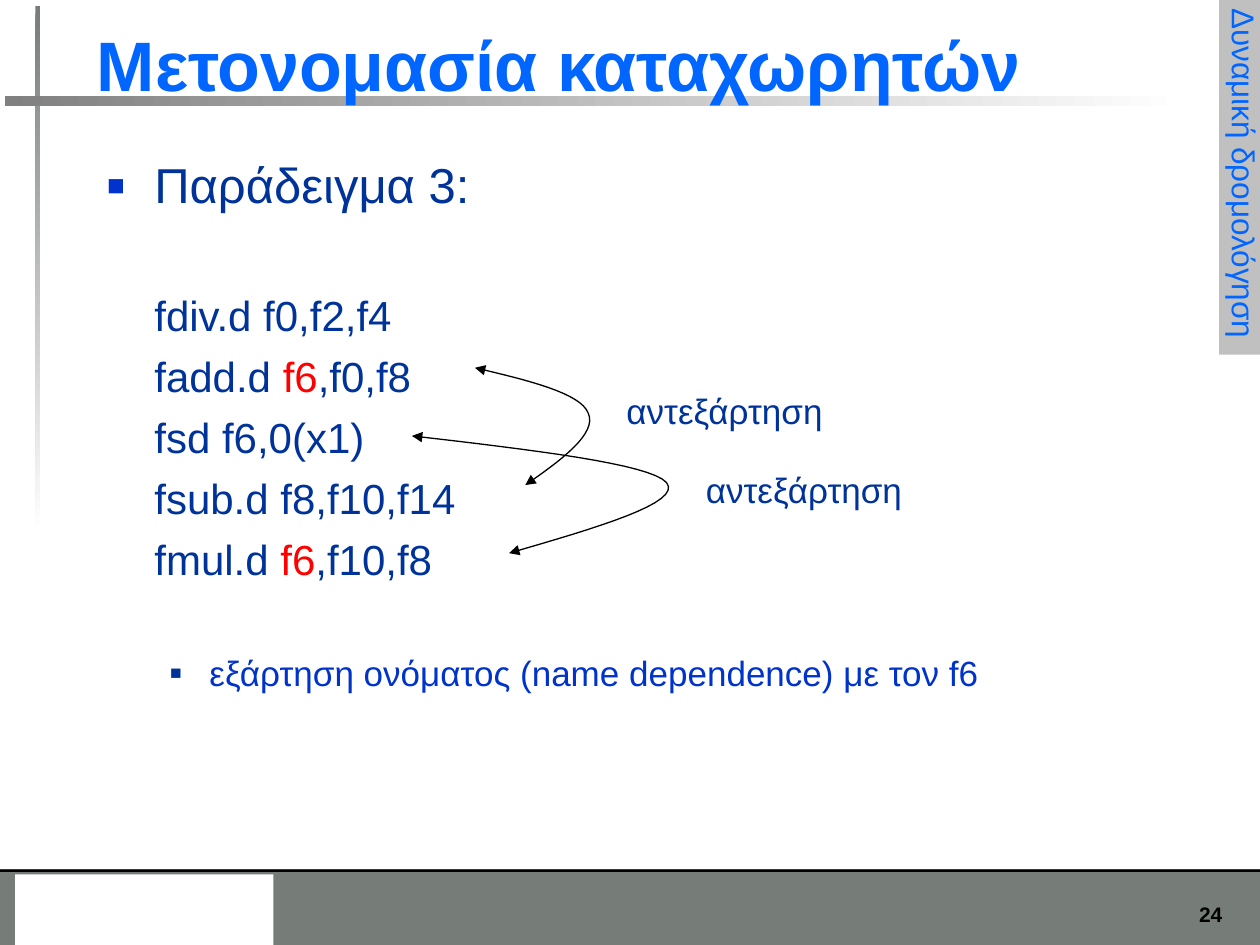
"""Builds the slide on register renaming and its name dependences."""
import pptx
import pptx.dml.color
import pptx.enum.shapes
import pptx.enum.text
import pptx.oxml
import pptx.oxml.ns
import pptx.util

Pt = pptx.util.Pt
ALIGN = pptx.enum.text.PP_ALIGN
ANCHOR = pptx.enum.text.MSO_ANCHOR
FIT = pptx.enum.text.MSO_AUTO_SIZE
RECT = pptx.enum.shapes.MSO_SHAPE.RECTANGLE
NAVY, BLUE, SKY, RED, BLACK = "003399", "0033CC", "0066FF", "FF0000", "000000"


def style(thing, form):
    """Set each format value on a thing; a hex colour goes to its colour part."""
    for name, value in form.items():
        if name == "hex":
            color = thing.color if hasattr(thing, "color") else thing.fore_color
            color.rgb = pptx.dml.color.RGBColor.from_string(value)
        else:
            setattr(thing, name, value)


def write(para, text, size, code, bold=False):
    """Add a run of Arial text to a paragraph."""
    run = para.add_run()
    run.text = text
    style(run.font, {"name": "Arial", "size": Pt(size), "bold": bold, "hex": code})


deck = pptx.Presentation()
style(deck, {"slide_width": Pt(720), "slide_height": Pt(540)})
slide = deck.slides.add_slide(deck.slide_layouts[1])
shapes = slide.shapes
title, body = slide.placeholders

bars = [
    ((0, 496.8, 720, 43.2), "767D79", None),
    ((0, 496.8, 720, 1.5), BLACK, None),
    ((20.2, 3.6, 2.9, 300), "767D79", 270),
    ((2.9, 54.7, 674.6, 5.8), "808080", 0),
    ((8.6, 499.7, 147.6, 40.3), "FFFFFF", None),
    ((608.4, 85.7, 205.2, 28.8), "C0C0C0", None),
]
for place, code, angle in bars:
    bar = shapes.add_shape(RECT, *map(Pt, place))
    bar.shadow.inherit = False
    bar.line.fill.background()
    if angle is None:
        bar.fill.solid()
        style(bar.fill, {"hex": code})
    else:
        bar.fill.gradient()
        bar.fill.gradient_angle = angle
        for stop, shade in zip(bar.fill.gradient_stops, (code, "FFFFFF")):
            style(stop, {"hex": shade})
    title._element.addprevious(bar._element)

bar.rotation = 90
style(bar.text_frame, {"word_wrap": False, "vertical_anchor": ANCHOR.TOP})
para = bar.text_frame.paragraphs[0]
para.alignment = ALIGN.LEFT
write(para, "Δυναμική δρομολόγηση", 18, SKY)

style(title, {"left": Pt(48.2), "top": Pt(8.6), "width": Pt(652.3), "height": Pt(55.4)})
style(title.text_frame, {"vertical_anchor": ANCHOR.BOTTOM, "auto_size": FIT.NONE})
para = title.text_frame.paragraphs[0]
para.alignment = ALIGN.LEFT
write(para, "Μετονομασία καταχωρητών", 40, SKY, True)

style(body, {"left": Pt(54), "top": Pt(88.6), "width": Pt(651.6), "height": Pt(402.5)})
body.text_frame.auto_size = FIT.NONE
lines = [
    ([("Παράδειγμα 3:", NAVY)], 28, 6, (27, -27, BLUE, 60)),
    ([("fdiv.d f0,f2,f4", NAVY)], 24, 43, None),
    ([("fadd.d ", NAVY), ("f6", RED), (",f0,f8", NAVY)], 24, 6, None),
    ([("fsd f6,0(x1)", NAVY)], 24, 6, None),
    ([("fsub.d f8,f10,f14", NAVY)], 24, 6, None),
    ([("fmul.d ", NAVY), ("f6", RED), (",f10,f8", NAVY)], 24, 6, None),
    ([("εξάρτηση ονόματος (name dependence) με τον f6", BLUE)], 20, 39,
     (58.5, -22.5, NAVY, 55)),
]
space = pptx.oxml.ns.nsdecls("a")
for row, (parts, size, gap, mark) in enumerate(lines):
    para = body.text_frame.add_paragraph() if row else body.text_frame.paragraphs[0]
    style(para, {"space_before": Pt(gap), "line_spacing": 1.0 if row else 0.9,
                 "level": 1 if size == 20 else 0})
    left, indent, code, scale = mark or (27, 0, None, None)
    props = para._p.get_or_add_pPr()
    props.set("marL", str(Pt(left)))
    props.set("indent", str(Pt(indent)))
    signs = [f"<a:buNone {space}/>"]
    if mark:
        signs = [
            f'<a:buClr {space}><a:srgbClr val="{code}"/></a:buClr>',
            f'<a:buSzPct {space} val="{scale * 1000}"/>',
            f'<a:buFont {space} typeface="Arial"/>',
            f'<a:buChar {space} char="■"/>',
        ]
    for sign in signs:
        props.append(pptx.oxml.parse_xml(sign))
    for text, code in parts:
        write(para, text, size, code)

curves = [
    [(271.4, 210.2), (301.7, 217.4), (331.9, 224.6), (336.2, 236.2),
     (341.3, 247.7), (321.1, 262.8), (300.2, 277.2)],
    [(235.4, 249.1), (303.1, 257), (371.5, 265), (380.9, 275.8),
     (390.2, 287.3), (340.6, 301.7), (290.9, 316.1)],
]
steps = 16
for knots in curves:
    dots = []
    for first in (0, 3):
        for step in range(1, steps + 1):
            t = step / steps
            rates = ((1 - t) ** 3, 3 * t * (1 - t) ** 2, 3 * t * t * (1 - t), t ** 3)
            dots.append(tuple(
                Pt(sum(rate * knot[axis] for rate, knot in zip(rates, knots[first:first + 4])))
                for axis in (0, 1)))
    trace = shapes.build_freeform(*map(Pt, knots[0]), scale=1.0)
    trace.add_line_segments(dots, close=False)
    curve = trace.convert_to_shape()
    curve.shadow.inherit = False
    curve.fill.background()
    style(curve.line, {"width": Pt(0.75), "hex": BLACK})
    for end in ("headEnd", "tailEnd"):
        curve._element.get_or_add_ln().append(
            pptx.oxml.parse_xml(f'<a:{end} {space} type="triangle"/>'))

notes = [
    ((331.9, 218.9, 164.2, 31.7), "αντεξάρτηση", 20, NAVY, False, ALIGN.CENTER),
    ((377.3, 264.2, 164.2, 31.7), "αντεξάρτηση", 20, NAVY, False, ALIGN.CENTER),
    ((660.2, 511.9, 45.4, 21.6), "24", 12, BLACK, True, ALIGN.RIGHT),
]
for place, text, size, code, bold, align in notes:
    frame = shapes.add_textbox(*map(Pt, place)).text_frame
    frame.word_wrap = True
    para = frame.paragraphs[0]
    para.alignment = align
    write(para, text, size, code, bold)

deck.save("out.pptx")
